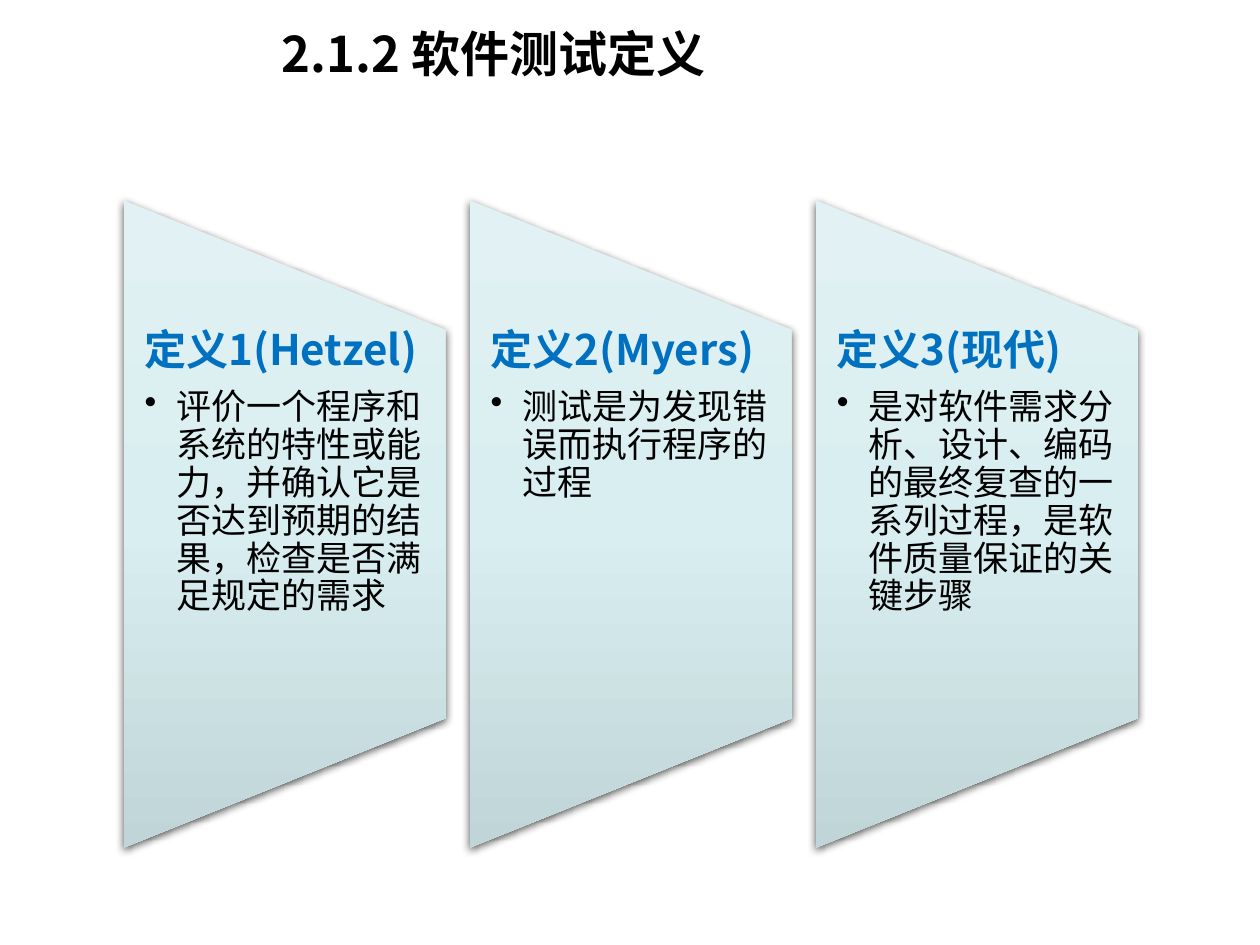
from dataclasses import dataclass

from pptx import Presentation
from pptx.dml.color import RGBColor as RGB
from pptx.enum.shapes import MSO_SHAPE as SHAPE
from pptx.enum.text import MSO_ANCHOR as ANCHOR, PP_ALIGN as ALIGN
from pptx.oxml import parse_xml
from pptx.oxml.ns import nsdecls, qn
from pptx.util import Pt


@dataclass(frozen=True)
class Theme:
    font: str = "Noto Sans CJK SC"
    ink: str = "000000"
    head: str = "0070C0"
    top: str = "E2F1F3"
    mid: str = "D9EEF0"
    low: str = "BFD5D7"
    title: int = 28
    name: int = 24
    body: int = 20


theme = Theme()


def write(para, text, size, color=theme.ink, bold=False, align=ALIGN.LEFT,
          line=1.0, after=0, bullet=False):
    para.alignment = align
    para.line_spacing = line
    para.space_after = Pt(after)
    if bullet:
        para.level = 1
        props = para._p.get_or_add_pPr()
        props.set("marL", str(Pt(18)))
        props.set("indent", str(-Pt(18)))
        props.append(parse_xml(f'<a:buChar {nsdecls("a")} char="•"/>'))
    run = para.add_run()
    run.text = text
    font = run.font
    font.name, font.size, font.bold = theme.font, Pt(size), bold
    font.color.rgb = RGB.from_string(color)
    run._r.rPr.find(qn("a:latin")).addnext(
        parse_xml(f'<a:ea {nsdecls("a")} typeface="{theme.font}"/>'))


def shade(shape):
    """Give the panel its three-stop gradient and soft shadow."""
    stops = "".join(
        f'<a:gs pos="{pos}"><a:srgbClr val="{color}"/></a:gs>'
        for pos, color in ((0, theme.top), (50000, theme.mid), (100000, theme.low)))
    shape.line.fill.background()
    shape.shadow.inherit = False
    props = shape._element.spPr
    props.find(qn("a:ln")).addprevious(parse_xml(
        f'<a:gradFill {nsdecls("a")} rotWithShape="0"><a:gsLst>{stops}</a:gsLst>'
        '<a:lin ang="5400000" scaled="0"/></a:gradFill>'))
    props.find(qn("a:effectLst")).append(parse_xml(
        f'<a:outerShdw {nsdecls("a")} blurRad="{Pt(4.5)}" dist="{Pt(1.5)}" '
        f'dir="5400000" rotWithShape="0"><a:srgbClr val="{theme.ink}">'
        '<a:alpha val="63000"/></a:srgbClr></a:outerShdw>'))


deck = Presentation()
deck.slide_width, deck.slide_height = Pt(720), Pt(540)
slide = deck.slides.add_slide(deck.slide_layouts[6])
shapes = slide.shapes

# Title
frame = shapes.add_textbox(0, 0, Pt(564), Pt(60)).text_frame
frame.word_wrap = True
frame.vertical_anchor = ANCHOR.MIDDLE
write(frame.paragraphs[0], "2.1.2 软件测试定义", theme.title, bold=True,
      align=ALIGN.CENTER)

# Definition panels: each shape is laid out wide, then turned upright
left, step, wide, tall, mid = 70.6, 197.8, 184, 370, 299.4
box = 222
terms = (
    ("定义1(Hetzel)", "评价一个程序和系统的特性或能力，并确认它是否达到预期的结果，检查是否满足规定的需求"),
    ("定义2(Myers)", "测试是为发现错误而执行程序的过程"),
    ("定义3(现代)", "是对软件需求分析、设计、编码的最终复查的一系列过程，是软件质量保证的关键步骤"),
)
for col, (name, body) in enumerate(terms):
    x = left + col * step
    panel = shapes.add_shape(
        SHAPE.FLOWCHART_MANUAL_OPERATION, Pt(x + (wide - tall) / 2),
        Pt(mid - wide / 2), Pt(tall), Pt(wide))
    panel.rotation = 270
    shade(panel)

    frame = shapes.add_textbox(Pt(x), Pt(mid - box / 2), Pt(wide), Pt(box)).text_frame
    frame.word_wrap = True
    frame.margin_left = frame.margin_right = Pt(12)
    frame.margin_top = frame.margin_bottom = 0
    write(frame.paragraphs[0], name, theme.name, color=theme.head, bold=True,
          line=0.9, after=8.4)
    write(frame.add_paragraph(), body, theme.body, line=0.9, after=3, bullet=True)

deck.save("out.pptx")
